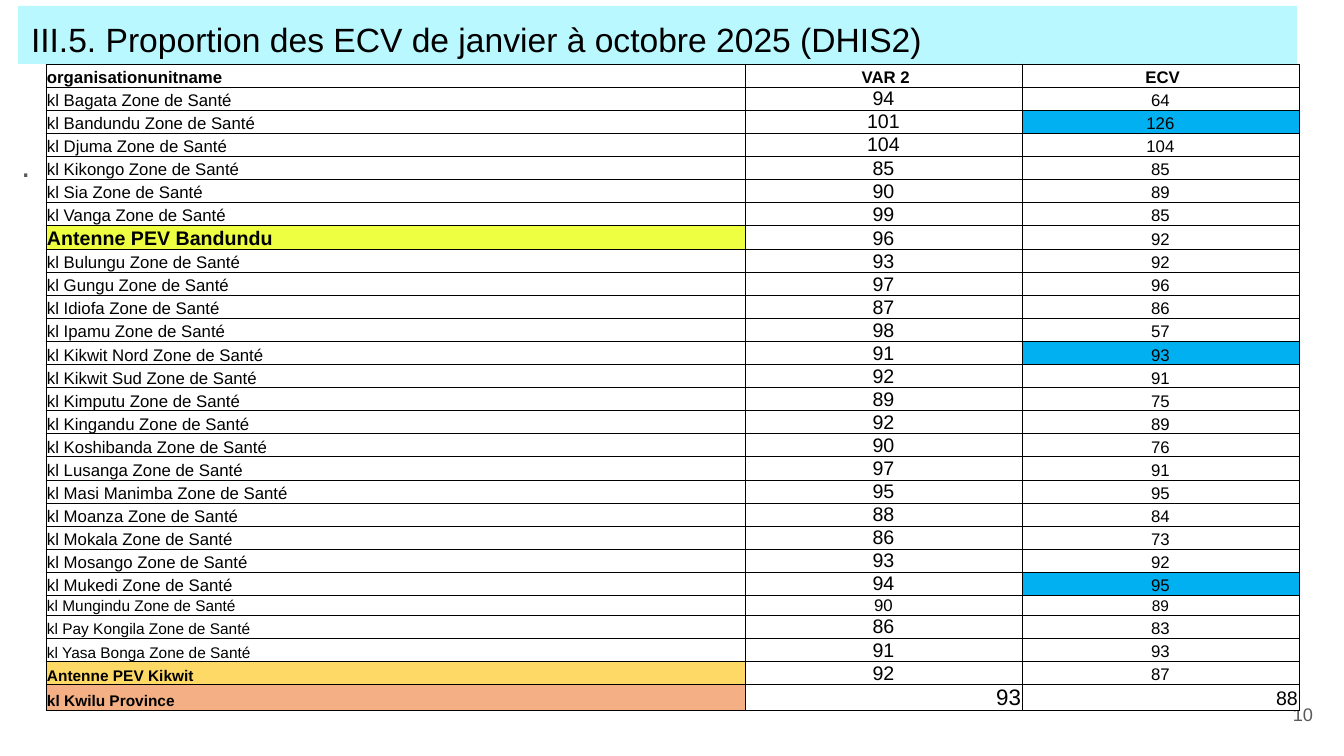
"""Build the slide showing the ECV proportions per health zone."""
from lxml.etree import SubElement
from pptx import Presentation
from pptx.dml.color import RGBColor
from pptx.enum.text import MSO_ANCHOR, MSO_AUTO_SIZE, PP_ALIGN
from pptx.oxml.ns import qn
from pptx.util import Pt

PX = 914400 / 100.8
BLACK, GREY, WHITE, BLUE = "000000", "595959", "FFFFFF", "00B0F0"
ZONES = [
    ("Bagata", 94, 64), ("Bandundu", 101, 126), ("Djuma", 104, 104),
    ("Kikongo", 85, 85), ("Sia", 90, 89), ("Vanga", 99, 85),
    ("Antenne PEV Bandundu", 96, 92),
    ("Bulungu", 93, 92), ("Gungu", 97, 96), ("Idiofa", 87, 86),
    ("Ipamu", 98, 57), ("Kikwit Nord", 91, 93), ("Kikwit Sud", 92, 91),
    ("Kimputu", 89, 75), ("Kingandu", 92, 89), ("Koshibanda", 90, 76),
    ("Lusanga", 97, 91), ("Masi Manimba", 95, 95), ("Moanza", 88, 84),
    ("Mokala", 86, 73), ("Mosango", 93, 92), ("Mukedi", 94, 95),
    ("Mungindu", 90, 89), ("Pay Kongila", 86, 83), ("Yasa Bonga", 91, 93),
    ("Antenne PEV Kikwit", 92, 87), ("kl Kwilu Province", 93, 88),
]
TOTALS = {"Antenne PEV Bandundu": "EEFF41", "Antenne PEV Kikwit": "FFD966",
          "kl Kwilu Province": "F4B084"}
HIGHLIGHTED = ("Bandundu", "Kikwit Nord", "Mukedi")
SIZES = {"Antenne PEV Bandundu": (14, 14, 12), "Mungindu": (11, 12, 11),
         "Pay Kongila": (11, 14, 12), "Yasa Bonga": (11, 14, 12),
         "Antenne PEV Kikwit": (11, 14, 12), "kl Kwilu Province": (11, 16, 14)}
HEIGHTS = {"Antenne PEV Bandundu": 24, "Mungindu": 20, "kl Kwilu Province": 25}


def rgb(value):
    return RGBColor.from_string(value)


def write(tf, text, size, color=BLACK, bold=False, align=PP_ALIGN.LEFT):
    p = tf.paragraphs[0]
    p.alignment = align
    r = p.add_run()
    r.text = text
    for name, value in {"name": "Arial", "size": Pt(size), "bold": bold}.items():
        setattr(r.font, name, value)
    r.font.color.rgb = rgb(color)
    return p


prs = Presentation()
prs.slide_width, prs.slide_height = round(1344 * PX), round(756 * PX)
s = prs.slides.add_slide(prs.slide_layouts[1])
title, body = s.shapes.title, s.placeholders[1]
number = s.shapes.add_textbox(0, 0, 0, 0)
for sp, box, anchor in [(title, (18, 6, 1279, 58), MSO_ANCHOR.TOP),
                        (body, (0, 125, 1298, 546), MSO_ANCHOR.TOP),
                        (number, (1245, 685, 81, 58), MSO_ANCHOR.MIDDLE)]:
    for name, value in zip(("left", "top", "width", "height"), box):
        setattr(sp, name, round(value * PX))
    tf = sp.text_frame
    for side in ("left", "top", "right", "bottom"):
        setattr(tf, f"margin_{side}", round(13 * PX))
    tf.word_wrap, tf.auto_size, tf.vertical_anchor = True, MSO_AUTO_SIZE.NONE, anchor

title.fill.solid()
title.fill.fore_color.rgb = rgb("BAF8FF")
write(title.text_frame, "III.5. Proportion des ECV de janvier à octobre 2025 (DHIS2)", 24)
p = write(body.text_frame, ".", 24, GREY)
p.line_spacing, p.space_before = 1.15, Pt(0)
pPr = p._p.get_or_add_pPr()
pPr.set("marL", str(round(8 * PX)))
pPr.set("indent", "0")
SubElement(pPr, qn("a:buNone"))
write(number.text_frame, "10", 13, GREY, align=PP_ALIGN.RIGHT)

rows = [(("organisationunitname", " VAR 2", " ECV"), (12, 12, 12),
         (True, True, True), (None, WHITE, WHITE), PP_ALIGN.CENTER, 23)]
for zone, var2, ecv in ZONES:
    total = zone in TOTALS
    label = zone if total else f"kl {zone} Zone de Santé"
    fills = (TOTALS.get(zone), WHITE, BLUE if zone in HIGHLIGHTED else WHITE)
    align = PP_ALIGN.RIGHT if zone == "kl Kwilu Province" else PP_ALIGN.CENTER
    rows.append(((label, str(var2), str(ecv)), SIZES.get(zone, (12, 14, 12)),
                 (total, False, False), fills, align, HEIGHTS.get(zone, 22)))

frame = s.shapes.add_table(len(rows), 3, round(46 * PX), round(64 * PX),
                           round(1253 * PX), round(636 * PX))
table = frame.table
table.first_row = table.horz_banding = False
for column, width in zip(table.columns, (699, 277, 277)):
    column.width = round(width * PX)
for i, (texts, sizes, bolds, fills, align, height) in enumerate(rows):
    table.rows[i].height = round(height * PX)
    for j, (text, size, bold, fill) in enumerate(zip(texts, sizes, bolds, fills)):
        cell = table.cell(i, j)
        cell.vertical_anchor = MSO_ANCHOR.BOTTOM
        for side, inset in {"left": 1, "top": 1, "right": 1, "bottom": 0}.items():
            setattr(cell, f"margin_{side}", round(inset * PX))
        for edge in ("lnL", "lnR", "lnT", "lnB"):
            ln = SubElement(cell._tc.get_or_add_tcPr(), qn(f"a:{edge}"), w=str(Pt(0.5)))
            SubElement(SubElement(ln, qn("a:solidFill")), qn("a:srgbClr"), val=BLACK)
        if fill:
            cell.fill.solid()
            cell.fill.fore_color.rgb = rgb(fill)
        else:
            cell.fill.background()
        write(cell.text_frame, text, size, bold=bold, align=align if j else PP_ALIGN.LEFT)

prs.save("out.pptx")
